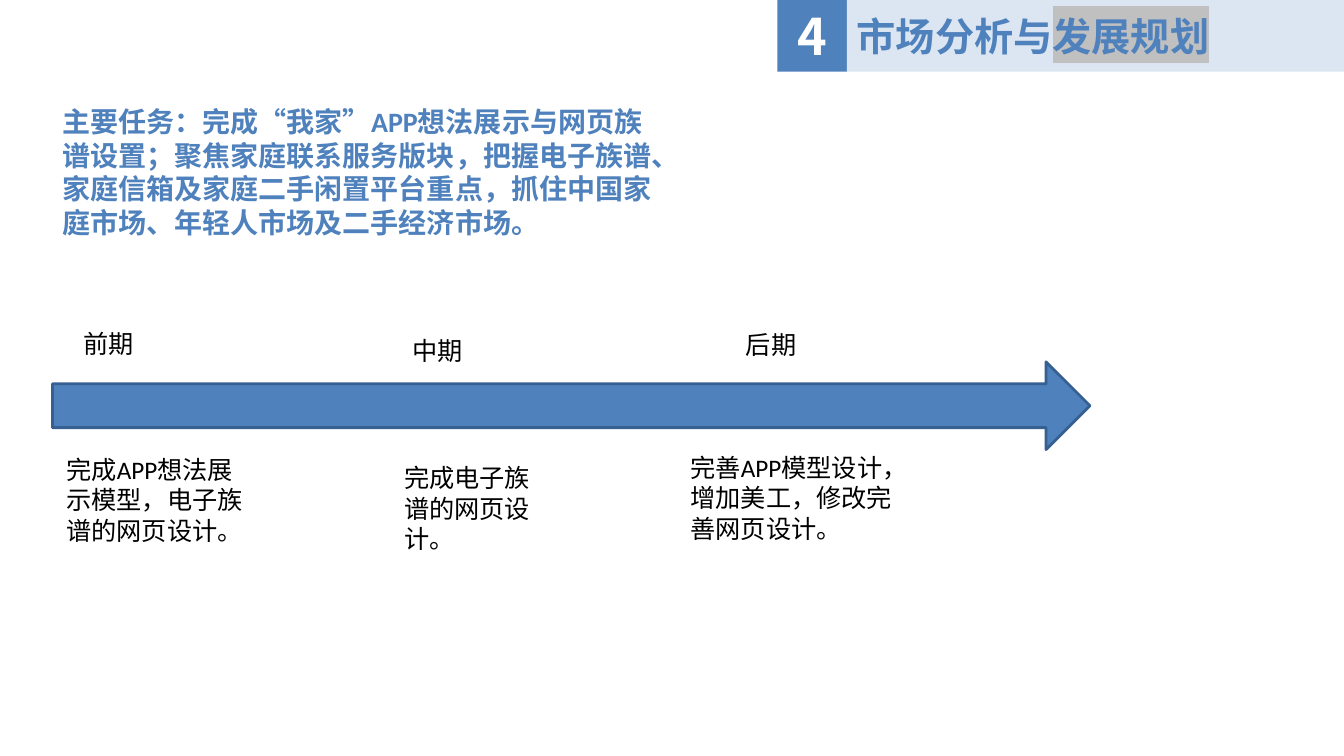
from dataclasses import dataclass

import pptx
import pptx.dml.color
import pptx.enum.shapes
import pptx.enum.text
import pptx.oxml
import pptx.oxml.ns
import pptx.util
from lxml import etree

SHAPE = pptx.enum.shapes.MSO_SHAPE
ANCHOR = pptx.enum.text.MSO_ANCHOR
ALIGN = pptx.enum.text.PP_ALIGN
qn = pptx.oxml.ns.qn


@dataclass(frozen=True)
class Theme:
    blue: str = "4F81BD"
    pale: str = "DCE6F2"
    outline: str = "376092"
    white: str = "FFFFFF"
    black: str = "000000"
    highlight: str = "C0C0C0"
    latin: str = "Calibri"
    cjk: str = "Noto Sans CJK SC"
    number: int = 36
    title: int = 28
    task: int = 20
    body: int = 18


THEME = Theme()
WIDTH, HEIGHT = 13.33, 7.5

# Label box, description box (left, top, width, height), label, description
STAGES = [
    ((0.73, 3.21, 0.97, 0.4), (0.56, 4.46, 2.09, 1.84),
     "前期", "完成APP想法展示模型，电子族谱的网页设计。"),
    ((3.99, 3.28, 1.59, 0.4), (3.91, 4.54, 1.52, 1.01),
     "中期", "完成电子族谱的网页设计。"),
    ((7.3, 3.22, 1.43, 0.4), (6.75, 4.44, 2.22, 1.01),
     "后期", "完善APP模型设计，增加美工，修改完善网页设计。"),
]


def color(value):
    return pptx.dml.color.RGBColor.from_string(value)


def inches(box):
    return [pptx.util.Inches(length) for length in box]


def style(paragraph, size, ink, latin=THEME.latin, bold=False):
    font = paragraph.font
    font.size = pptx.util.Pt(size)
    font.bold = bold
    font.color.rgb = color(ink)
    font.name = latin
    defaults = paragraph._p.pPr.find(qn("a:defRPr"))
    etree.SubElement(defaults, qn("a:ea")).set("typeface", THEME.cjk)


def add_block(slide, kind, box, fill):
    block = slide.shapes.add_shape(kind, *inches(box))
    block.shadow.inherit = False
    block.fill.solid()
    block.fill.fore_color.rgb = color(fill)
    block.line.fill.background()
    return block


def add_text(slide, box, text, size, ink, bold=False):
    frame = slide.shapes.add_textbox(*inches(box)).text_frame
    frame.word_wrap = True
    paragraph = frame.paragraphs[0]
    paragraph.text = text
    style(paragraph, size, ink, bold=bold)


def highlight(run):
    properties = run.font.fill._xPr
    run.font.color.rgb = color(THEME.blue)
    mark = etree.Element(qn("a:highlight"))
    etree.SubElement(mark, qn("a:srgbClr")).set("val", THEME.highlight)
    properties.find(qn("a:solidFill")).addnext(mark)


def add_header(slide, box, number, title, marked):
    left, top, width, height = box
    badge_width = 0.69
    badge = add_block(slide, SHAPE.RECTANGLE,
                      (left, top, badge_width, height), THEME.blue)
    banner = add_block(slide, SHAPE.RECTANGLE,
                       (left + badge_width, top, width - badge_width, height),
                       THEME.pale)
    parts = [(badge, [number], ALIGN.CENTER, THEME.number, THEME.white),
             (banner, [title, marked], ALIGN.LEFT, THEME.title, THEME.blue)]
    for block, texts, align, size, ink in parts:
        block.text_frame.vertical_anchor = ANCHOR.MIDDLE
        paragraph = block.text_frame.paragraphs[0]
        paragraph.alignment = align
        for text in texts:
            paragraph.add_run().text = text
        style(paragraph, size, ink, THEME.cjk, bold=True)
    highlight(banner.text_frame.paragraphs[0].runs[-1])


def add_timeline(slide, box, stages):
    arrow = add_block(slide, SHAPE.RIGHT_ARROW, box, THEME.blue)
    arrow.line.color.rgb = color(THEME.outline)
    arrow.line.width = pptx.util.Pt(2)
    for label_box, detail_box, label, detail in stages:
        add_text(slide, label_box, label, THEME.body, THEME.black)
        add_text(slide, detail_box, detail, THEME.body, THEME.black)


def main():
    deck = pptx.Presentation()
    deck.slide_width, deck.slide_height = inches((WIDTH, HEIGHT))
    slide = deck.slides.add_slide(deck.slide_layouts[6])
    add_header(slide, (7.71, 0, WIDTH - 7.71, 0.71),
               "4", "市场分析与", "发展规划")
    add_text(slide, (0.52, 0.99, 6.14, 1.66),
             "主要任务：完成“我家”APP想法展示与网页族谱设置；"
             "聚焦家庭联系服务版块，把握电子族谱、家庭信箱及家庭二手闲置平台重点，"
             "抓住中国家庭市场、年轻人市场及二手经济市场。",
             THEME.task, THEME.blue, bold=True)
    add_timeline(slide, (0.52, 3.59, 10.29, 0.87), STAGES)
    deck.save("out.pptx")


if __name__ == "__main__":
    main()
